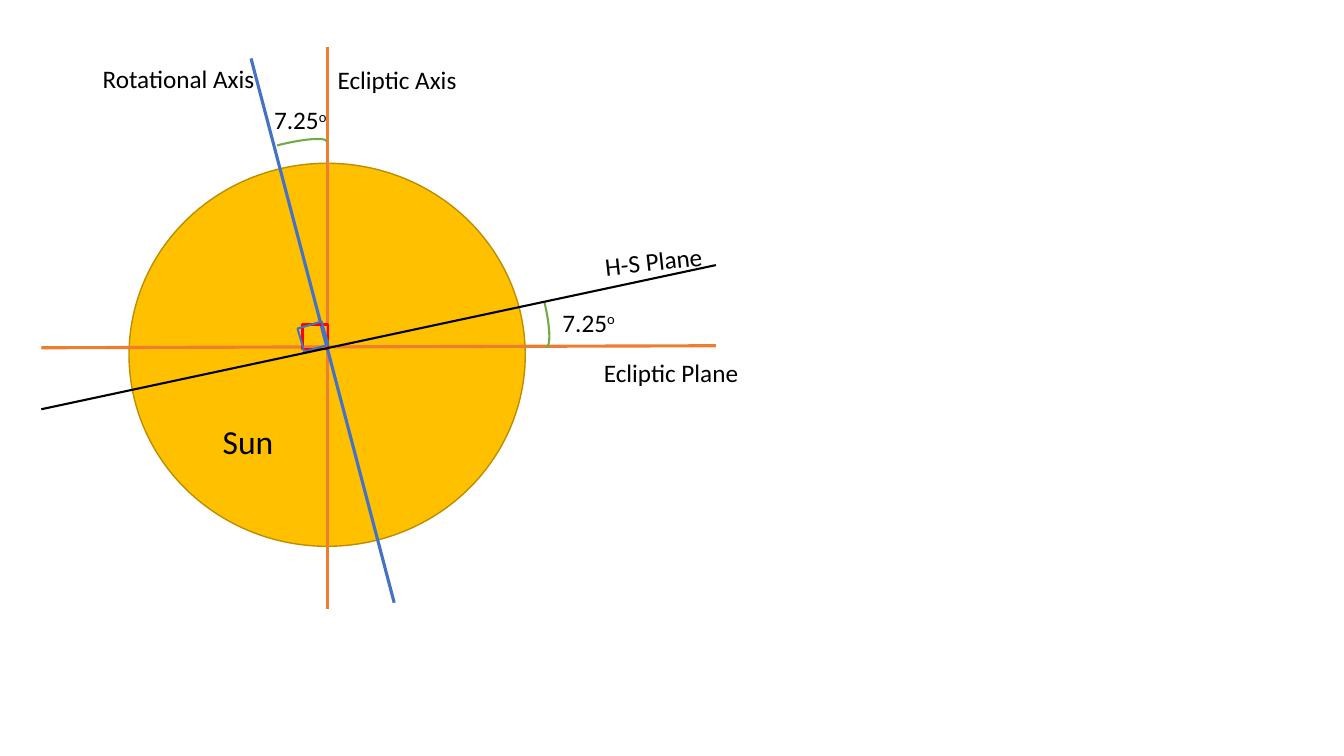
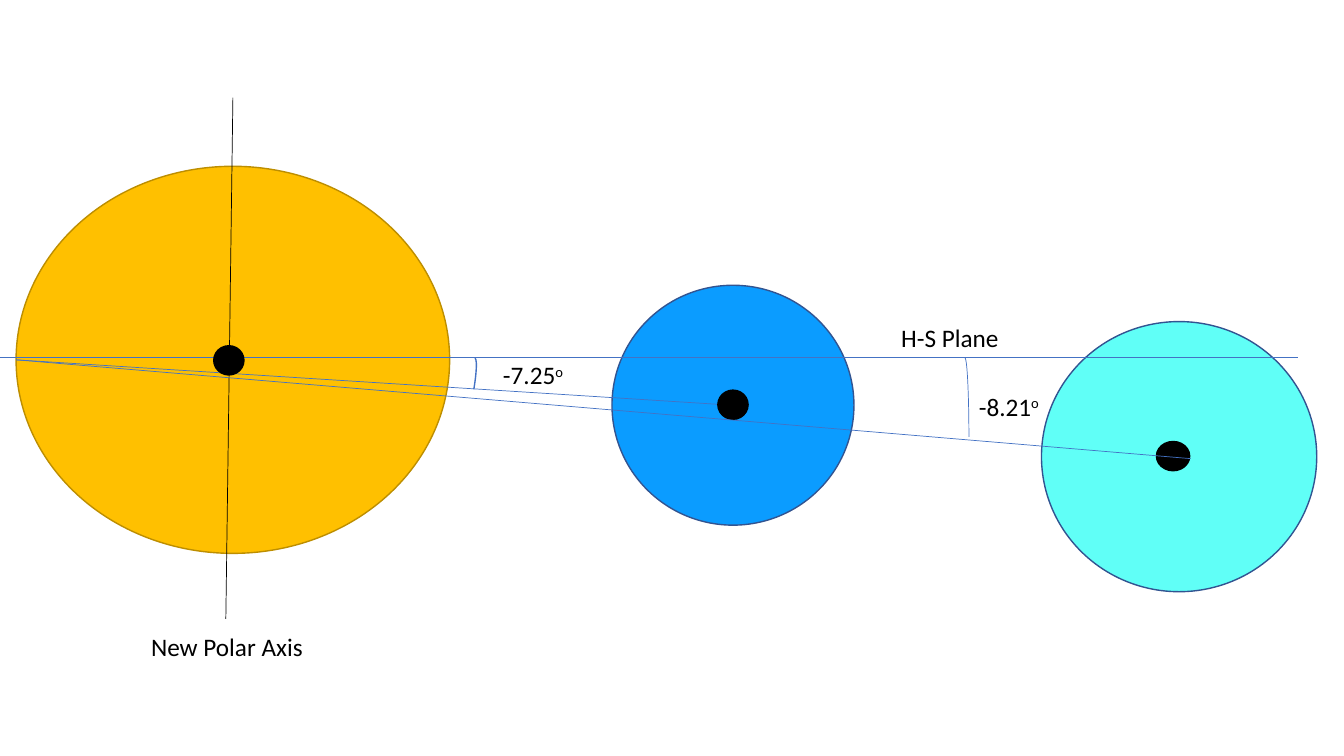
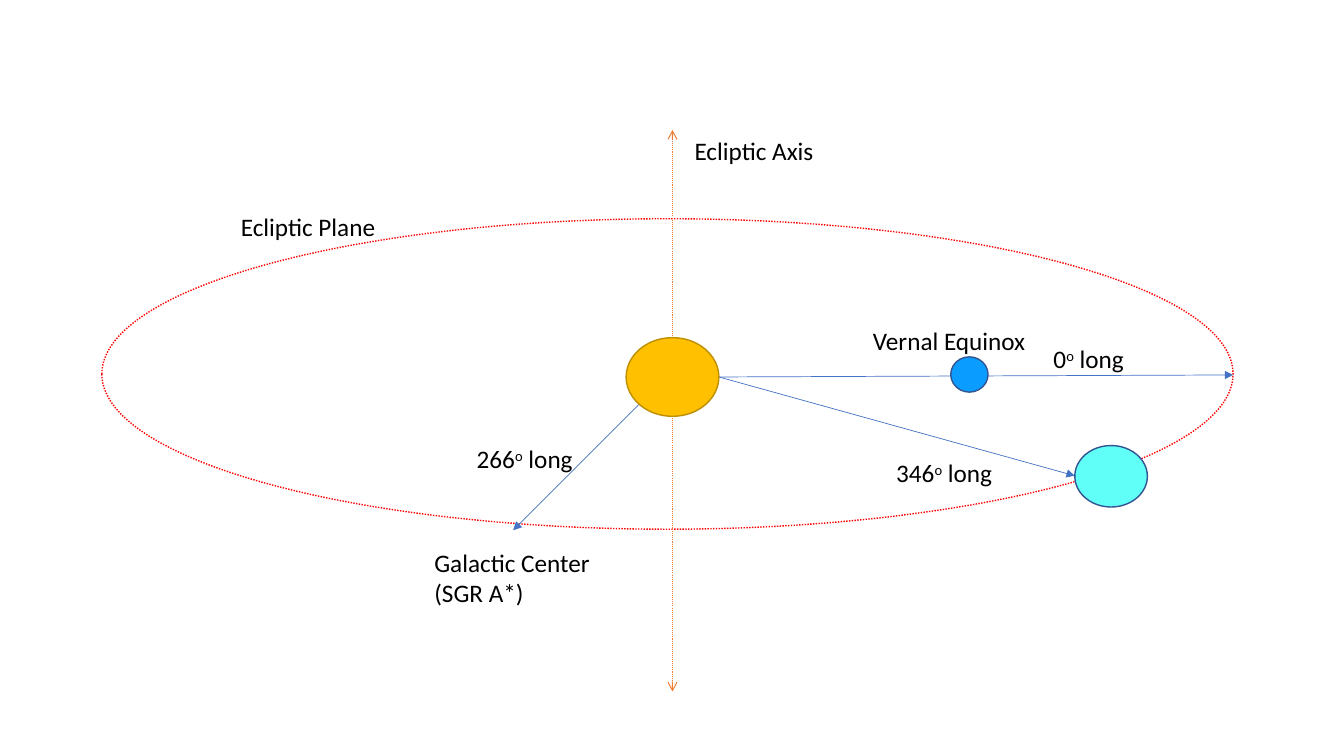
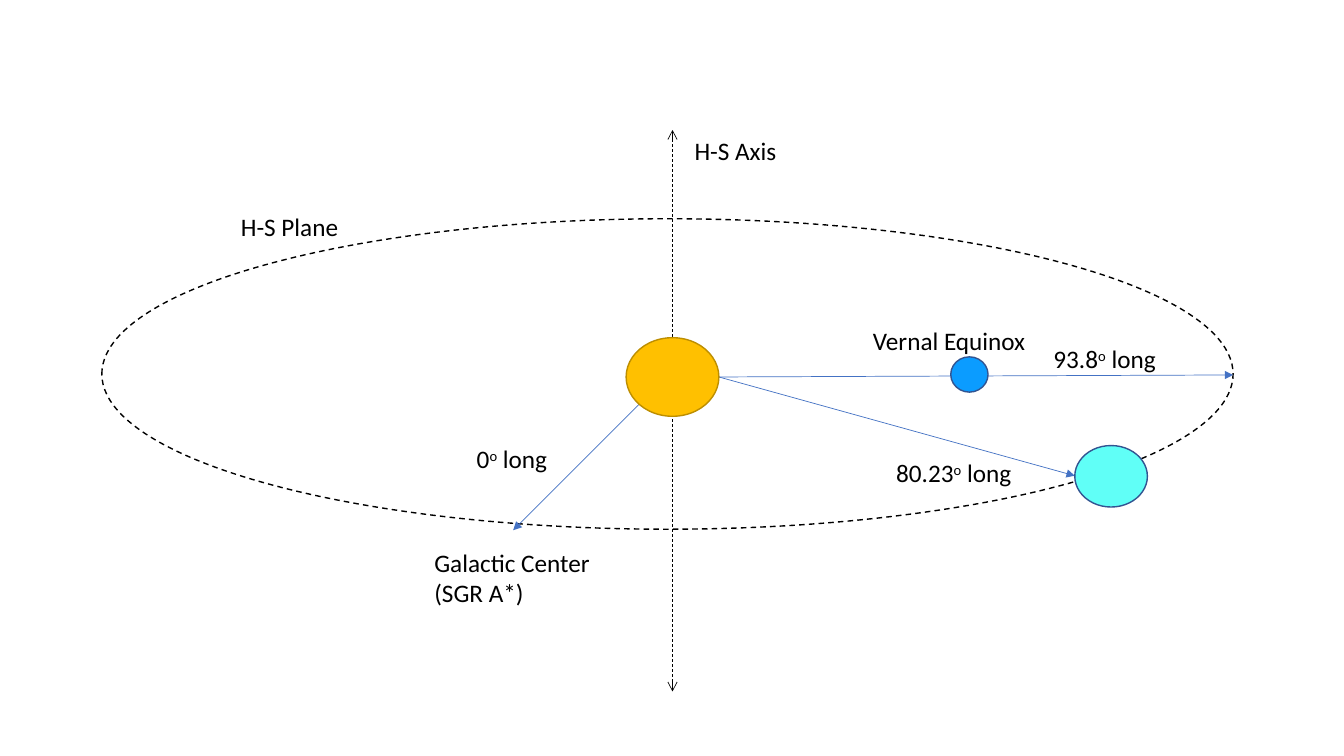
"""Draw four slides on the tilt of the Sun and the H-S plane."""
from lxml import etree
from pptx import Presentation, util as u
from pptx.dml.color import RGBColor
from pptx.enum import dml, shapes, text
from pptx.oxml import ns

deck = Presentation()
deck.slide_width, deck.slide_height = u.Inches(13.33), u.Inches(7.5)
col, row = deck.slide_width / 13.33, deck.slide_height / 7.5
hue = RGBColor.from_string
form, dash = shapes.MSO_SHAPE, dml.MSO_LINE
SUN, RIM = "FFC000", "BD8E00"
EARTH, AQUA, NAVY = "0B9CFF", "60FFF7", "325491"
BLUE, ORANGE, GREEN = "4472C4", "ED7D31", "70AD47"
RED, BLACK, WHITE = "FF0000", "000000", "FFFFFF"


def draw(page, kind, box, ink, width=1, fill=None, turn=0, style=None, ends=()):
    """Add a shape by left, top, width, height, or a line by its two ends."""
    box = [int(n * unit) for n, unit in zip(box, (col, row, col, row))]
    if kind == "line":
        item = page.shapes.add_connector(shapes.MSO_CONNECTOR.STRAIGHT, *box)
        etree.SubElement(item._element.spPr, ns.qn("a:effectLst"))
    else:
        item = page.shapes.add_shape(kind, *box)
        item.shadow.inherit = False
        item.rotation = turn
        if fill:
            item.fill.solid()
            item.fill.fore_color.rgb = hue(fill)
        else:
            item.fill.background()
    item.line.color.rgb = hue(ink)
    item.line.width = u.Pt(width)
    if style:
        item.line.dash_style = style
    for end, tip in ends:
        etree.SubElement(item.line._get_or_add_ln(), ns.qn("a:" + end), type=tip)


def label(page, x, y, wide, words, size=18, turn=0):
    """Add a text box in which a caret stands for a raised degree sign."""
    lines = words.split("\n")
    high = 0.1 + len(lines) * size / 60
    box = page.shapes.add_textbox(int(x * col), int(y * row), int(wide * col), int(high * row))
    box.rotation = turn
    frame = box.text_frame
    frame.word_wrap = False
    frame.auto_size = text.MSO_AUTO_SIZE.SHAPE_TO_FIT_TEXT
    for i, line in enumerate(lines):
        para = frame.paragraphs[0] if i == 0 else frame.add_paragraph()
        para.font.name, para.font.size = "Calibri", u.Pt(size)
        para.font.color.rgb = hue(BLACK)
        head, mark, rest = line.partition("^")
        for part in (head, mark, rest):
            if part:
                run = para.add_run()
                run.text = part.replace("^", "o")
                if part == "^":
                    run._r.get_or_add_rPr().set("baseline", "30000")


tilt, side, ring, hs = [deck.slides.add_slide(deck.slide_layouts[6]) for _ in range(4)]

draw(tilt, form.OVAL, (1.28, 1.62, 3.93, 3.8), RIM, fill=SUN)
for ends, ink in (
    ((3.25, 0.47, 3.25, 6.04), ORANGE),
    ((2.49, 0.58, 3.91, 5.98), BLUE),
    ((0.41, 3.45, 7.1, 3.43), ORANGE),
):
    draw(tilt, "line", ends, ink, 2.25)
for kind, box, ink, turn in (
    (form.ARC, (2.28, 1.44, 0.98, 0.17), GREEN, 345.7),
    (form.ARC, (4.86, 2.92, 0.9, 0.18), GREEN, 76.2),
    (form.RECTANGLE, (3, 3.22, 0.25, 0.24), RED, 0),
    (form.RECTANGLE, (2.98, 3.22, 0.25, 0.24), BLUE, 343.7),
):
    draw(tilt, kind, box, ink, 1.5, turn=turn)
draw(tilt, "line", (0.41, 4.06, 7.1, 2.63), BLACK, 1.5)
for note in (
    (3.25, 0.59, 1.39, "Ecliptic Axis"),
    (0.92, 0.58, 1.72, "Rotational Axis"),
    (2.62, 0.99, 0.74, "7.25^"),
    (5.89, 3.5, 1.55, "Ecliptic Plane"),
    (5.48, 3, 0.74, "7.25^"),
    (5.9, 2.39, 1.18, "H-S Plane", 18, 353.8),
    (2.11, 4.13, 0.71, "Sun", 24),
):
    label(tilt, *note)

for box, fill, rim in (
    ((0.16, 1.65, 4.3, 3.84), SUN, RIM),
    ((6.07, 2.83, 2.4, 2.38), EARTH, NAVY),
    ((10.33, 3.19, 2.73, 2.68), AQUA, NAVY),
):
    draw(side, form.OVAL, box, rim, fill=fill)
for ends, ink in (
    ((2.31, 0.97, 2.24, 6.14), BLACK),
    ((0, 3.55, 12.87, 3.55), BLUE),
    ((0.16, 3.57, 7.42, 4.03), BLUE),
):
    draw(side, "line", ends, ink, 0.5)
for x, y, wide in ((2.12, 3.43, 0.3), (7.12, 3.87, 0.3), (11.47, 4.38, 0.33)):
    draw(side, form.OVAL, (x, y, wide, 0.29), BLACK, fill=BLACK)
draw(side, "line", (0.16, 3.57, 11.81, 4.55), BLUE, 0.5)
draw(side, form.ARC, (4.62, 3.55, 0.08, 0.61), BLUE, turn=9.7)
draw(side, form.ARC, (9.53, 3.55, 0.08, 1.57), BLUE, 0.5)
for note in (
    (1.4, 6.21, 1.75, "New Polar Axis"),
    (8.84, 3.15, 1.18, "H-S Plane"),
    (4.89, 3.52, 0.82, "-7.25^"),
    (9.61, 3.83, 0.82, "-8.21^"),
):
    label(side, *note)

for page, fill, rim, style, ink, width, axis, plane, east, west, south in (
    (ring, None, RED, dash.ROUND_DOT, ORANGE, 0.75, ("Ecliptic Axis", 1.39),
     ("Ecliptic Plane", 1.55), ("0^ long", 0.92), ("266^ long", 1.18), ("346^ long", 1.18)),
    (hs, WHITE, BLACK, dash.DASH, BLACK, 0.5, ("H-S Axis", 1.02),
     ("H-S Plane", 1.18), ("93.8^ long", 1.24), ("0^ long", 0.92), ("80.23^ long", 1.37)),
):
    draw(page, form.OVAL, (1.01, 2.17, 11.22, 3.08), rim, fill=fill, style=style)
    draw(page, "line", (6.67, 1.29, 6.67, 6.86), ink, width, style=style,
         ends=(("headEnd", "arrow"), ("tailEnd", "arrow")))
    for ends in ((6.34, 4.01, 5.09, 5.26), (7.13, 3.74, 10.66, 4.72), (7.13, 3.74, 12.23, 3.72)):
        draw(page, "line", ends, BLUE, 0.5, ends=[("tailEnd", "triangle")])
    for box, body, edge in (
        ((6.21, 3.35, 0.92, 0.78), SUN, RIM),
        ((10.66, 4.42, 0.72, 0.61), AQUA, NAVY),
        ((9.43, 3.54, 0.37, 0.35), EARTH, NAVY),
    ):
        draw(page, form.OVAL, box, edge, fill=body)
    for x, y, (words, wide) in (
        (6.79, 1.29, axis),
        (2.29, 2.05, plane),
        (10.35, 3.36, east),
        (8.56, 3.18, ("Vernal Equinox", 1.73)),
        (4.63, 4.35, west),
        (8.79, 4.49, south),
        (4.21, 5.38, ("Galactic Center\n(SGR A*)", 1.76)),
    ):
        label(page, x, y, wide, words)

deck.save("out.pptx")
